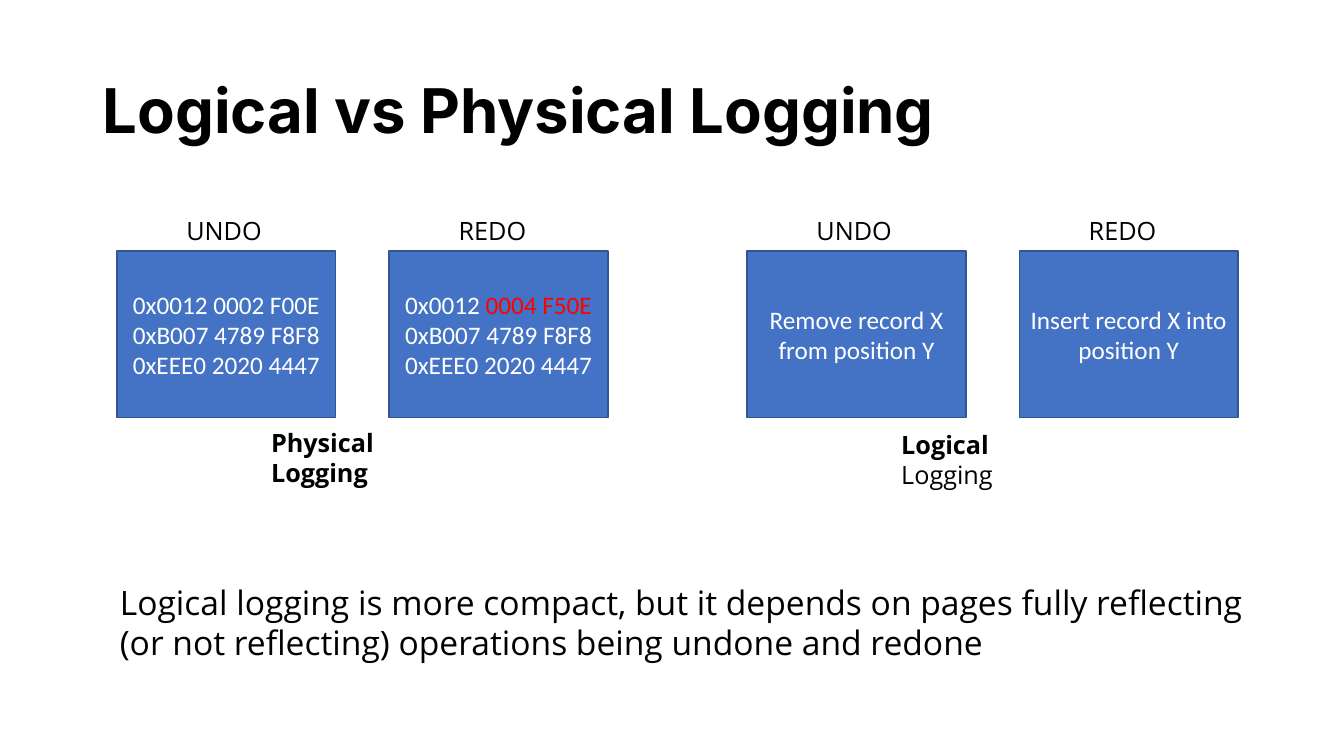
from pptx import Presentation
from pptx.dml.color import RGBColor
from pptx.enum.shapes import MSO_SHAPE
from pptx.enum.text import MSO_ANCHOR, MSO_AUTO_SIZE, PP_ALIGN
from pptx.util import Inches, Pt

RECTANGLE = MSO_SHAPE.RECTANGLE
TOP, MIDDLE = MSO_ANCHOR.TOP, MSO_ANCHOR.MIDDLE
LEFT, CENTER = PP_ALIGN.LEFT, PP_ALIGN.CENTER
GROW, FIXED = MSO_AUTO_SIZE.SHAPE_TO_FIT_TEXT, MSO_AUTO_SIZE.NONE

BLACK, WHITE, RED = "000000", "FFFFFF", "FF0000"
BLUE, DARK_BLUE = "4472C4", "325491"
HEADING, BODY, CODE = "Inter", "Open Sans", "Calibri"

# Grid of square cells, ten to the inch
CELL = 0.1
FIRST_RECORD, RECORD_STEP, GROUP_STEP = 11.6, 27, 62.5
RECORD_TOP, RECORD_WIDTH, RECORD_HEIGHT = 24.9, 21.7, 16.5
LABEL_TOP, LABEL_INDENT = 20.9, 5.9

# Each group: record paragraphs as (text, format) spans for UNDO and REDO,
# caption spans, then the caption's column, row and width
GROUPS = [
    ([[[("0x0012 0002 F00E 0xB007 4789 F8F8", {})],
       [("0xEEE0 2020 4447", {})]],
      [[("0x0012 ", {}), ("0004 F50E ", {"color": RED}),
        ("0xB007 4789 F8F8", {})],
       [("0xEEE0 2020 4447", {})]]],
     [("Physical Logging", {"bold": True})], (25.9, 41.9, 21)),
    ([[[("Remove record X from position Y", {})]],
      [[("Insert record X into position Y", {})]]],
     [("Logical", {"bold": True}), (" Logging", {})], (88.4, 42.1, 20.2)),
]
LABELS = [("UNDO", 9.7), ("REDO", 9)]
SUMMARY = ("Logical logging is more compact, but it depends on pages fully "
           "reflecting (or not reflecting) operations being undone and redone")


def rgb(value):
    return RGBColor.from_string(value)


def cells(*counts):
    return [Inches(count * CELL) for count in counts]


def write(box, paragraphs, size=18, font=BODY, color=BLACK, bold=False,
          align=LEFT, anchor=TOP, spacing=None, wrap=True, grow=False):
    """Fill a box with paragraphs made of (text, format) spans."""
    frame = box.text_frame
    frame.word_wrap = wrap
    frame.auto_size = GROW if grow else FIXED
    frame.vertical_anchor = anchor
    for index, spans in enumerate(paragraphs):
        para = frame.add_paragraph() if index else frame.paragraphs[0]
        para.alignment = align
        if spacing:
            para.line_spacing = spacing
        for text, changes in spans:
            span = para.add_run()
            span.text = text
            span.font.size = Pt(size)
            span.font.name = font
            span.font.bold = changes.get("bold", bold)
            span.font.color.rgb = rgb(changes.get("color", color))


def add_text(page, place, spans, **text_format):
    box = page.shapes.add_textbox(*cells(*place))
    write(box, [spans], **text_format)
    return box


def add_record(page, left, paragraphs):
    box = page.shapes.add_shape(
        RECTANGLE, *cells(left, RECORD_TOP, RECORD_WIDTH, RECORD_HEIGHT))
    box.shadow.inherit = False
    box.fill.solid()
    box.fill.fore_color.rgb = rgb(BLUE)
    box.line.color.rgb = rgb(DARK_BLUE)
    box.line.width = Pt(1)
    write(box, paragraphs, font=CODE, color=WHITE, align=CENTER, anchor=MIDDLE)


def add_group(page, left, records, caption, caption_place):
    for index, (label, label_width) in enumerate(LABELS):
        record_left = left + index * RECORD_STEP
        add_record(page, record_left, records[index])
        add_text(page, (record_left + LABEL_INDENT, LABEL_TOP, label_width, 4),
                 [(label, {})], wrap=False, grow=True)
    # The wide right margin sets the caption on two lines
    box = add_text(page, (*caption_place, 4), caption)
    box.text_frame.margin_right = Inches(0.8)


def main():
    deck = Presentation()
    deck.slide_width, deck.slide_height = Inches(13.33), Inches(7.5)
    page = deck.slides.add_slide(deck.slide_layouts[6])

    # Title
    add_text(page, (9.2, 4, 115, 14.5), [("Logical vs Physical Logging", {})],
             size=44, font=HEADING, bold=True, anchor=MIDDLE, spacing=0.9)

    # Physical and logical log records
    for index, group in enumerate(GROUPS):
        add_group(page, FIRST_RECORD + index * GROUP_STEP, *group)

    # Summary
    add_text(page, (10.9, 57.2, 115, 9.1), [(SUMMARY, {})], size=24, grow=True)

    deck.save("out.pptx")


main()
